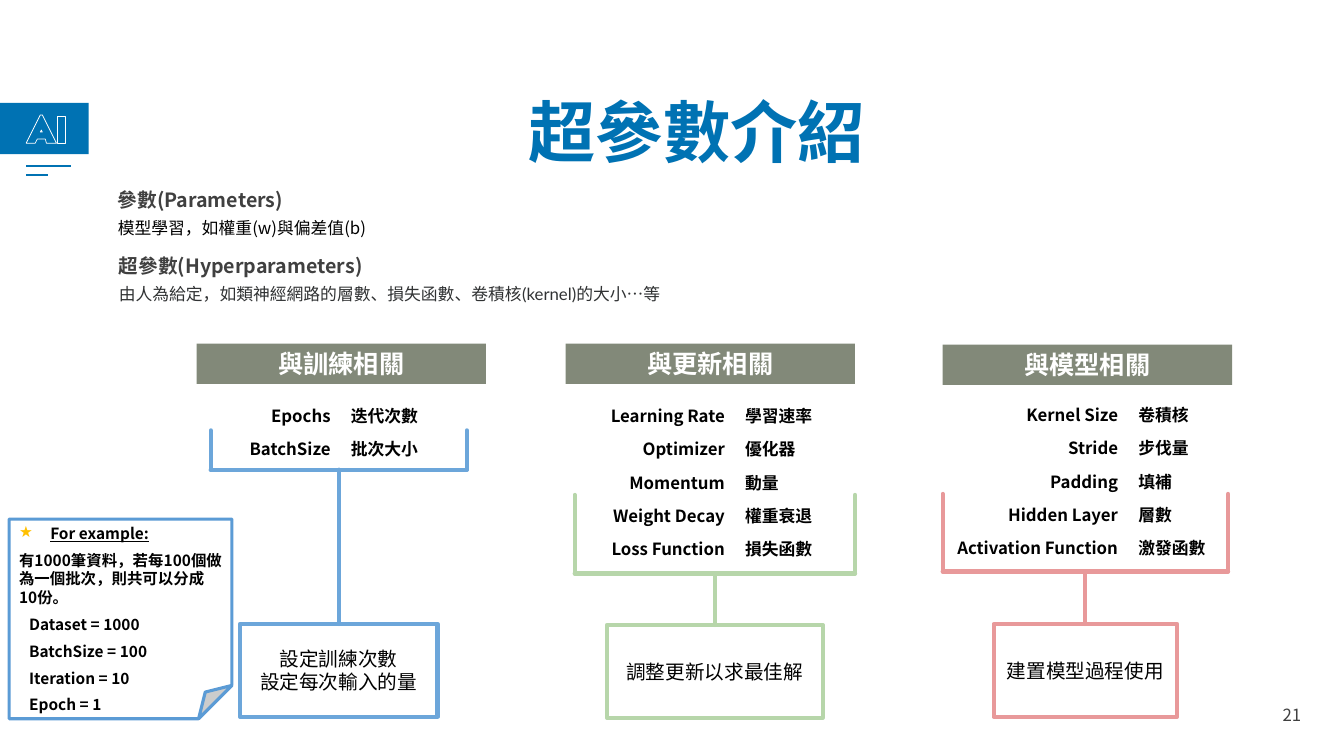
from dataclasses import dataclass

from lxml.etree import SubElement
from pptx import Presentation
from pptx.dml.color import RGBColor
from pptx.enum.shapes import MSO_CONNECTOR, MSO_SHAPE
from pptx.enum.text import MSO_ANCHOR as Anchor, MSO_AUTO_SIZE, PP_ALIGN as Align
from pptx.oxml.ns import qn
from pptx.util import Inches, Pt

CJK = "Noto Sans CJK SC"
BLUE, GREY, BLACK, WHITE = "0072B3", "404040", "000000", "FFFFFF"


@dataclass(frozen=True)
class Style:
    size: float
    color: str = BLACK
    bold: bool = False
    font: str = CJK
    align: Align = Align.LEFT
    anchor: Anchor = Anchor.MIDDLE


@dataclass(frozen=True)
class Category:
    name: str
    header_at: tuple[float, float]
    terms_at: tuple[float, float]
    columns: tuple[float, float]
    anchor: Anchor
    terms: tuple[tuple[str, str], ...]
    color: str
    bracket: tuple[float, float, float, float]  # left, right, top, bottom
    goal: str
    goal_top: float
    goal_width: float


CATEGORIES = (
    Category("與訓練相關", (1.95, 3.41), (2.13, 3.95), (1.25, 1.25), Anchor.TOP,
             (("Epochs", "迭代次數"), ("BatchSize", "批次大小")),
             "6CA6DA", (2.09, 4.63, 4.27, 4.66), "設定訓練次數\n設定每次輸入的量", 6.19, 1.96),
    Category("與更新相關", (5.61, 3.41), (5.57, 3.95), (1.72, 1.22), Anchor.TOP,
             (("Learning Rate", "學習速率"), ("Optimizer", "優化器"), ("Momentum", "動量"),
              ("Weight Decay", "權重衰退"), ("Loss Function", "損失函數")),
             "B7D6AA", (5.7, 8.48, 4.91, 5.69), "調整更新以求最佳解", 6.2, 2.14),
    Category("與模型相關", (9.35, 3.42), (9.35, 3.94), (1.84, 0.99), Anchor.MIDDLE,
             (("Kernel Size", "卷積核"), ("Stride", "步伐量"), ("Padding", "填補"),
              ("Hidden Layer", "層數"), ("Activation Function", "激發函數")),
             "E8999A", (9.35, 12.18, 4.9, 5.67), "建置模型過程使用", 6.19, 1.82),
)
DEFINITIONS = (
    (1.07, 1.81, "參數(Parameters)", "模型學習，如權重(w)與偏差值(b)", Style(12, anchor=Anchor.TOP)),
    (1.08, 2.47, "超參數(Hyperparameters)", "由人為給定，如類神經網路的層數、損失函數、卷積核(kernel)的大小…等",
     Style(12, "303233", font="Lato", anchor=Anchor.TOP)),
)
EXAMPLE = ("For example:", "有1000筆資料，若每100個做為一個批次，則共可以分成10份。",
           "Dataset = 1000", "BatchSize = 100", "Iteration = 10", "Epoch = 1")
AI_CONTOURS = (
    ((0.45, 1.38), (0.37, 1.38), (0.35, 1.42), (0.26, 1.42), (0.4, 1.14),
     (0.42, 1.14), (0.56, 1.42), (0.46, 1.42)),
    ((0.57, 1.42), (0.57, 1.15), (0.65, 1.15), (0.65, 1.42)),
    ((0.4, 1.31), (0.42, 1.31), (0.41, 1.29)),
)


def rgb(color: str) -> RGBColor:
    return RGBColor.from_string(color)


def write(frame, text: str, style: Style) -> None:
    frame.text = text
    frame.word_wrap = True
    frame.vertical_anchor = style.anchor
    for paragraph in frame.paragraphs:
        paragraph.alignment = style.align
        for run in paragraph.runs:
            run.font.size = Pt(style.size)
            run.font.bold = style.bold
            run.font.color.rgb = rgb(style.color)
            run.font.name = style.font
            SubElement(run._r.get_or_add_rPr(), qn("a:ea"), typeface=CJK)


def add_text(shapes, text: str, style: Style, *place: float) -> None:
    write(shapes.add_textbox(*map(Inches, place)).text_frame, text, style)


def paint(shape, fill: str | None, line: str | None, line_width: float) -> None:
    shape.shadow.inherit = False
    shape.line.width = Pt(line_width)
    for area, color in ((shape.fill, fill), (shape.line.fill, line)):
        if color:
            area.solid()
            area.fore_color.rgb = rgb(color)
        else:
            area.background()


def add_box(shapes, *place: float, fill: str | None = None, line: str | None = None,
            line_width: float = 3, kind: MSO_SHAPE = MSO_SHAPE.RECTANGLE):
    box = shapes.add_shape(kind, *map(Inches, place))
    paint(box, fill, line, line_width)
    return box


def add_line(shapes, *ends: float, color: str, width: float = 3, cap: str = "rnd") -> None:
    line = shapes.add_connector(MSO_CONNECTOR.STRAIGHT, *map(Inches, ends))
    line.line.color.rgb = rgb(color)
    line.line.width = Pt(width)
    properties = line._element.spPr
    properties.find(qn("a:ln")).set("cap", cap)
    SubElement(properties, qn("a:effectLst"))


def add_badge(shapes) -> None:
    add_box(shapes, 0, 1.02, 0.88, 0.51, fill=BLUE)
    first, *others = [[(Inches(x), Inches(y)) for x, y in contour] for contour in AI_CONTOURS]
    letters = shapes.build_freeform(*first[0])
    letters.add_line_segments(first[1:])
    for contour in others:
        letters.move_to(*contour[0])
        letters.add_line_segments(contour[1:])
    paint(letters.convert_to_shape(), None, WHITE, 0.5)
    for right, y in ((0.7, 1.65), (0.48, 1.74)):
        add_line(shapes, 0.26, y, right, y, color=BLUE, width=1.5, cap="flat")


def add_terms(shapes, category: Category) -> None:
    size = (sum(category.columns), 0.33 * len(category.terms))
    table = shapes.add_table(len(category.terms), 2, *map(Inches, category.terms_at + size)).table
    table.first_row = table.horz_banding = False
    for column, width in zip(table.columns, category.columns):
        column.width = Inches(width)
    for row, pair in zip(table.rows, category.terms):
        for cell, term, align in zip(row.cells, pair, (Align.RIGHT, Align.LEFT)):
            cell.fill.background()
            write(cell.text_frame, term, Style(12, bold=True, align=align))
            cell.vertical_anchor = category.anchor


def add_goal(shapes, category: Category) -> None:
    """Draw the bracket under the terms, its stem and the box it leads to."""
    left, right, top, bottom = category.bracket
    middle = (left + right) / 2
    for ends in ((left, top, left, bottom), (left, bottom, right, bottom),
                 (right, top, right, bottom), (middle, bottom, middle, category.goal_top)):
        add_line(shapes, *ends, color=category.color)
    box = add_box(shapes, middle - category.goal_width / 2, category.goal_top,
                  category.goal_width, 0.92, line=category.color)
    write(box.text_frame, category.goal, Style(14, align=Align.CENTER))


def add_example(shapes) -> None:
    note = add_box(shapes, 0.09, 5.15, 2.21, 1.98, fill=WHITE, line="5B9BD5",
                   line_width=2.25, kind=MSO_SHAPE.FOLDED_CORNER)
    write(note.text_frame, "\n".join(EXAMPLE), Style(11, bold=True, anchor=Anchor.TOP))
    heading, _, *settings = note.text_frame.paragraphs
    properties = heading._p.get_or_add_pPr()
    properties.set("marL", str(Inches(0.31)))
    properties.set("indent", str(Inches(-0.31)))
    SubElement(SubElement(properties, qn("a:buClr")), qn("a:srgbClr"), val="FFC000")
    SubElement(properties, qn("a:buChar"), char="★")
    heading.runs[0].font.underline = True
    for setting in settings:
        setting._p.get_or_add_pPr().set("marL", str(Inches(0.1)))
    for paragraph in note.text_frame.paragraphs:
        paragraph.space_after = Pt(6)


deck = Presentation()
deck.slide_width, deck.slide_height = Inches(13.33), Inches(7.5)
shapes = deck.slides.add_slide(deck.slide_layouts[5]).shapes
add_badge(shapes)
title = shapes.title
title.left, title.top, title.width, title.height = map(Inches, (1.41, 0.6, 11, 1.5))
write(title.text_frame, "超參數介紹", Style(48, BLUE, True, align=Align.CENTER))
title.text_frame.auto_size = MSO_AUTO_SIZE.NONE
title.text_frame.paragraphs[0].line_spacing = 0.9
add_text(shapes, "21", Style(12, GREY, align=Align.CENTER), 12.48, 6.89, 0.67, 0.4)
for left, top, term, meaning, style in DEFINITIONS:
    add_text(shapes, term, Style(14, GREY, True), left, top, 3.66, 0.34)
    add_text(shapes, meaning, style, left, top + 0.3, 6.55, 0.3)
for category in CATEGORIES:
    header = add_box(shapes, *category.header_at, 2.87, 0.4, fill="828979")
    write(header.text_frame, category.name, Style(18, WHITE, True, align=Align.CENTER))
    add_terms(shapes, category)
    add_goal(shapes.add_group_shape().shapes, category)
add_example(shapes)
deck.save("out.pptx")
